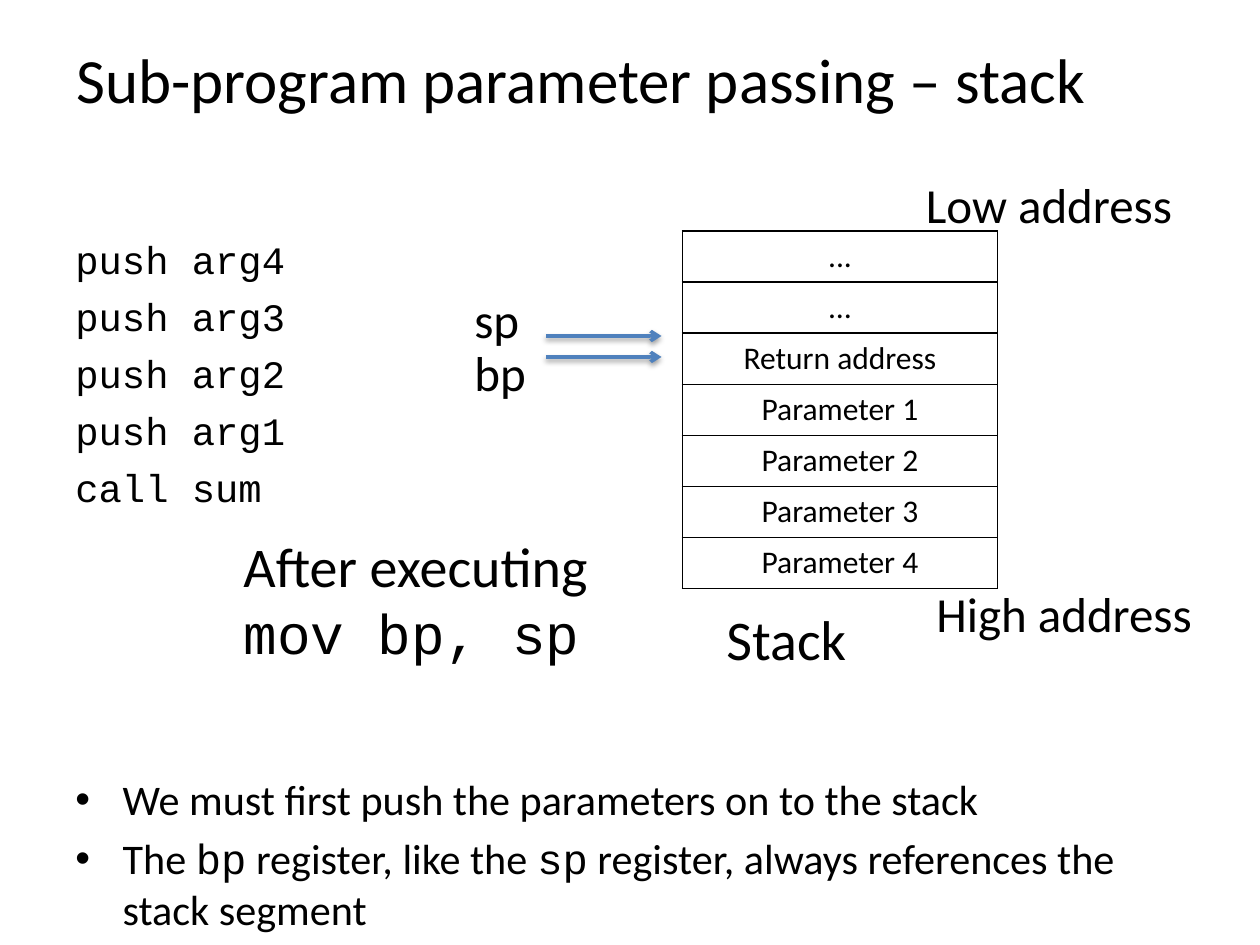
"""Build the slide on passing sub-program parameters through the stack."""
from dataclasses import dataclass

import lxml.etree
import pptx
import pptx.dml.color
import pptx.enum.text
import pptx.oxml
import pptx.oxml.ns
import pptx.util

Pt = pptx.util.Pt
qn = pptx.oxml.ns.qn
COLOURS = {"text": "000000", "border": "000000", "arrow": "4F81BD", "shadow": "000000"}
BODY, CODE = "Calibri", "Courier New"
CODE_LINES = ["push arg4", "push arg3", "push arg2", "push arg1", "call sum"]
BULLETS = [
    [("We must first push the parameters on to the stack", BODY)],
    [("The ", BODY), ("bp", CODE), (" register, like the ", BODY), ("sp", CODE),
     (" register, always references the stack segment", BODY)],
]
STACK_ROWS = ["...", "…", "Return address"] + [f"Parameter {n}" for n in range(1, 5)]


@dataclass
class Label:
    """Unwrapped text at a place, one (text, font) pair per line."""
    left: float
    top: float
    width: float
    height: float
    size: float
    lines: list[tuple[str, str]]
    space: float = 0


LABELS = [
    Label(36, 131.4, 240, 160, 22.2, [(line, CODE) for line in CODE_LINES], 5.85),
    Label(408, 342, 84, 46, 32, [("Stack", BODY)]),
    Label(264, 192, 44, 41, 28, [("bp", BODY)]),
    Label(264, 162, 40, 41, 28, [("sp", BODY)]),
    Label(522, 96, 157, 41, 28, [("Low address", BODY)]),
    Label(528, 330, 163, 41, 28, [("High address", BODY)]),
    Label(132, 300, 215, 85, 32, [("After executing", BODY), ("mov bp, sp", CODE)]),
]


def rgb(name: str) -> pptx.dml.color.RGBColor:
    """Return a named colour."""
    return pptx.dml.color.RGBColor.from_string(COLOURS[name])


def set_font(font, size: float, face: str = BODY) -> None:
    """Set size, face and text colour."""
    font.size, font.name = Pt(size), face
    font.color.rgb = rgb("text")


def add_colour_fill(parent, name: str):
    """Append a solid fill and return its colour element."""
    fill = lxml.etree.SubElement(parent, qn("a:solidFill"))
    return lxml.etree.SubElement(fill, qn("a:srgbClr"), val=COLOURS[name])


def add_label(slide, label: Label) -> None:
    """Add a label as a text box."""
    box = slide.shapes.add_textbox(Pt(label.left), Pt(label.top), Pt(label.width), Pt(label.height))
    frame = box.text_frame
    frame.word_wrap = False
    for index, (text, face) in enumerate(label.lines):
        para = frame.add_paragraph() if index else frame.paragraphs[0]
        para.text = text
        para.space_before = Pt(label.space if index else 0)
        set_font(para.font, label.size, face)


def add_bullets(slide) -> None:
    """Add the bulleted remarks."""
    frame = slide.shapes.add_textbox(Pt(36), Pt(438.6), Pt(648), Pt(100)).text_frame
    frame.word_wrap = True
    for index, pieces in enumerate(BULLETS):
        para = frame.add_paragraph() if index else frame.paragraphs[0]
        properties = para._p.get_or_add_pPr()
        properties.set("marL", str(Pt(27)))
        properties.set("indent", str(Pt(-27)))
        lxml.etree.SubElement(properties, qn("a:buFont"), typeface="Arial")
        lxml.etree.SubElement(properties, qn("a:buChar"), char="•")
        para.space_before = Pt(4.8 if index else 0)
        set_font(para.font, 24.1)
        for text, face in pieces:
            span = para.add_run()
            span.text = text
            set_font(span.font, 24.1, face)


def add_stack(slide) -> None:
    """Add the one-column stack table."""
    row_height = Pt(29.2)
    frame = slide.shapes.add_table(len(STACK_ROWS), 1, Pt(390), Pt(132), Pt(180),
                                   row_height * len(STACK_ROWS))
    table = frame.table
    table.first_row = table.horz_banding = False
    for index, text in enumerate(STACK_ROWS):
        table.rows[index].height = row_height
        cell = table.cell(index, 0)
        cell.text = text
        para = cell.text_frame.paragraphs[0]
        para.alignment = pptx.enum.text.PP_ALIGN.CENTER
        set_font(para.font, 18)
        properties = cell._tc.get_or_add_tcPr()
        for side in ("a:lnL", "a:lnR", "a:lnT", "a:lnB"):
            border = lxml.etree.SubElement(properties, qn(side), w=str(Pt(1)))
            add_colour_fill(border, "border")
        cell.fill.background()


def add_arrow(slide, left: float, right: float, y: float) -> None:
    """Add a shadowed horizontal arrow."""
    arrow = slide.shapes.add_connector(pptx.enum.shapes.MSO_CONNECTOR.STRAIGHT,
                                       Pt(left), Pt(y), Pt(right), Pt(y))
    arrow.line.width = Pt(2)
    arrow.line.color.rgb = rgb("arrow")
    lxml.etree.SubElement(arrow.line._get_or_add_ln(), qn("a:tailEnd"), type="arrow")
    effects = lxml.etree.SubElement(arrow._element.spPr, qn("a:effectLst"))
    shadow = lxml.etree.SubElement(effects, qn("a:outerShdw"), blurRad=str(Pt(3.1)),
                                   dist=str(Pt(1.6)), dir="5400000", rotWithShape="0")
    colour = lxml.etree.SubElement(shadow, qn("a:srgbClr"), val=COLOURS["shadow"])
    lxml.etree.SubElement(colour, qn("a:alpha"), val="38000")


def add_title(slide) -> None:
    """Place and format the title."""
    title = slide.shapes.title
    title.left, title.top, title.width, title.height = Pt(8), Pt(0), Pt(648), Pt(90)
    title.text_frame.text = "Sub-program parameter passing – stack"
    title.text_frame.vertical_anchor = pptx.enum.text.MSO_ANCHOR.MIDDLE
    para = title.text_frame.paragraphs[0]
    para.alignment = pptx.enum.text.PP_ALIGN.CENTER
    set_font(para.font, 36)


def main() -> None:
    """Build and save the deck."""
    deck = pptx.Presentation()
    deck.slide_width, deck.slide_height = Pt(720), Pt(540)
    slide = deck.slides.add_slide(deck.slide_layouts[5])
    add_title(slide)
    add_stack(slide)
    for label in LABELS:
        add_label(slide, label)
    for y in (192, 204):
        add_arrow(slide, 312, 378, y)
    add_bullets(slide)
    deck.save("out.pptx")


if __name__ == "__main__":
    main()
